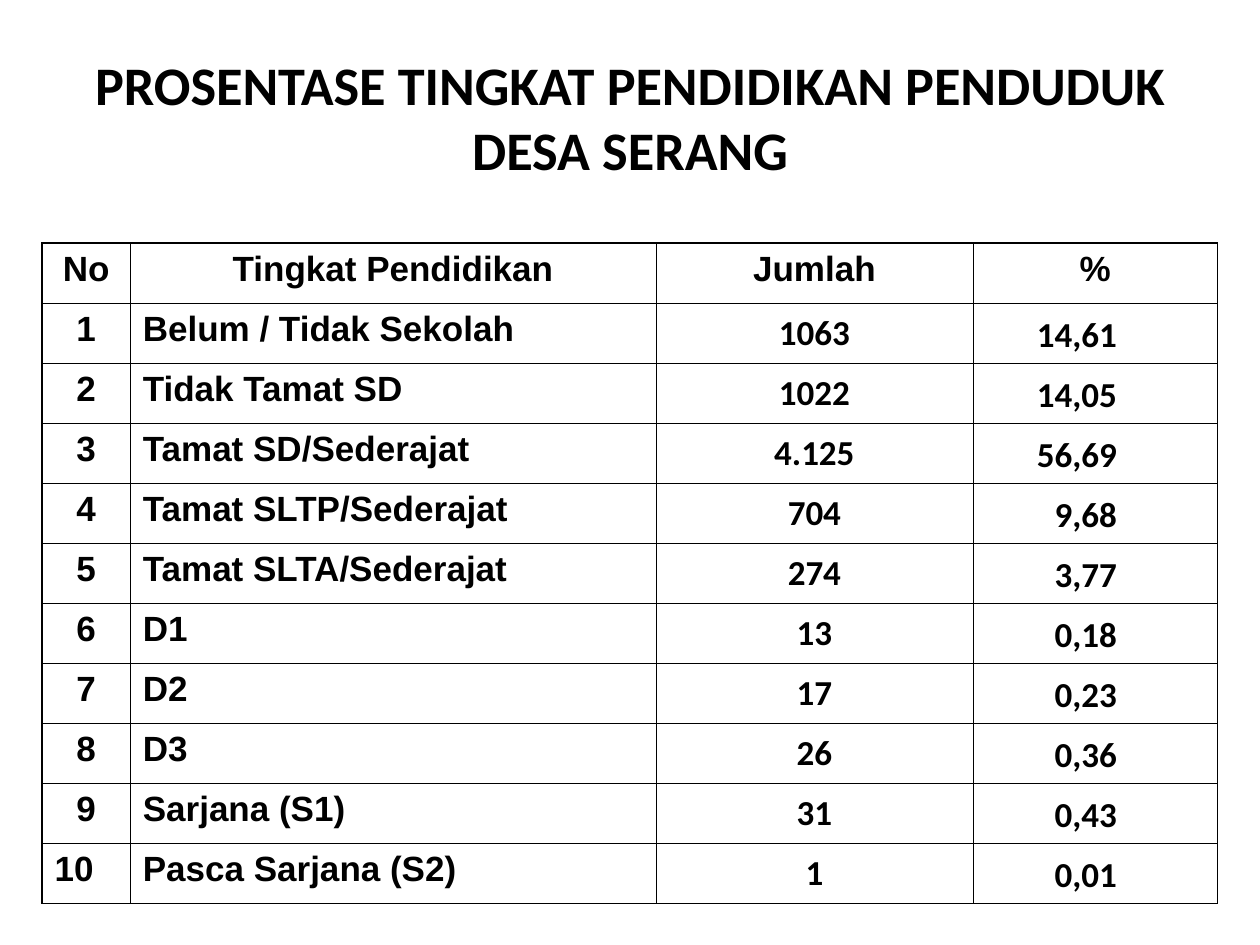
from dataclasses import dataclass

from lxml.etree import SubElement
from pptx import Presentation
from pptx.dml.color import RGBColor
from pptx.enum.text import MSO_ANCHOR as Anchor, PP_ALIGN as Align
from pptx.oxml.ns import qn
from pptx.slide import Slide
from pptx.table import _Cell as Cell
from pptx.text.text import TextFrame
from pptx.util import Pt

BLACK = "000000"
THIN, THICK = 0.45, 1.08
ROW_HEIGHT = 34.3


@dataclass(frozen=True)
class Column:
    heading: str
    width: float
    font: str
    align: Align
    anchor: Anchor
    margin_left: float
    margin_right: float


@dataclass(frozen=True)
class EducationLevel:
    name: str
    count: str
    percent: str


COLUMNS = [
    Column("No", 50.4, "Arial", Align.CENTER, Anchor.TOP, 7.2, 7.2),
    Column("Tingkat Pendidikan", 300.4, "Arial", Align.LEFT, Anchor.TOP, 7.2, 7.2),
    Column("Jumlah", 181.2, "Calibri", Align.CENTER, Anchor.MIDDLE, 0.7, 0.7),
    Column("%", 139.8, "Calibri", Align.RIGHT, Anchor.BOTTOM, 0.7, 57.5),
]

LEVELS = [
    EducationLevel("Belum / Tidak Sekolah", "1063", "14,61"),
    EducationLevel("Tidak Tamat SD", "1022", "14,05"),
    EducationLevel("Tamat SD/Sederajat", "4.125", "56,69"),
    EducationLevel("Tamat SLTP/Sederajat", "704", "9,68"),
    EducationLevel("Tamat SLTA/Sederajat", "274", "3,77"),
    EducationLevel("D1", "13", "0,18"),
    EducationLevel("D2", "17", "0,23"),
    EducationLevel("D3", "26", "0,36"),
    EducationLevel("Sarjana (S1)", "31", "0,43"),
    EducationLevel("Pasca Sarjana (S2)", "1", "0,01"),
]


def color(value: str) -> RGBColor:
    return RGBColor.from_string(value)


def set_values(target: object, values: dict) -> None:
    for name, value in values.items():
        setattr(target, name, value)


def write_text(frame: TextFrame, text: str, font: str, size: float, align: Align) -> None:
    paragraph = frame.paragraphs[0]
    paragraph.alignment = align
    run = paragraph.add_run()
    run.text = text
    set_values(run.font, {"name": font, "size": Pt(size), "bold": True})
    run.font.color.rgb = color(BLACK)


def set_borders(cell: Cell, widths: dict[str, float]) -> None:
    properties = cell._tc.get_or_add_tcPr()
    for side, width in widths.items():
        line = SubElement(properties, qn(f"a:ln{side}"), w=str(Pt(width)))
        fill = SubElement(line, qn("a:solidFill"))
        SubElement(fill, qn("a:srgbClr"), val=BLACK)


def draw_title(slide: Slide, text: str) -> None:
    box = slide.shapes.add_textbox(Pt(36), Pt(21.6), Pt(648), Pt(90))
    box.text_frame.word_wrap = True
    box.text_frame.vertical_anchor = Anchor.MIDDLE
    write_text(box.text_frame, text, "Calibri", 31, Align.CENTER)


def draw_cell(cell: Cell, text: str, column: Column, is_heading: bool) -> None:
    if is_heading:
        column = Column(text, column.width, "Arial", Align.CENTER, Anchor.TOP, 7.2, 7.2)
    align = Align.LEFT if text == "10" else column.align
    set_values(cell, {
        "vertical_anchor": column.anchor,
        "margin_left": Pt(column.margin_left),
        "margin_right": Pt(column.margin_right),
        "margin_top": Pt(3.6),
        "margin_bottom": Pt(3.6),
    })
    write_text(cell.text_frame, text, column.font, 20, align)


def draw_table(slide: Slide) -> None:
    rows = [[column.heading for column in COLUMNS]]
    rows += [[str(number), level.name, level.count, level.percent]
             for number, level in enumerate(LEVELS, 1)]
    last_row, last_column = len(rows) - 1, len(COLUMNS) - 1
    width = sum(column.width for column in COLUMNS)
    table = slide.shapes.add_table(len(rows), len(COLUMNS), Pt(24), Pt(139),
                                   Pt(width), Pt(ROW_HEIGHT * len(rows))).table
    set_values(table, {"first_row": False, "horz_banding": False})
    for table_column, column in zip(table.columns, COLUMNS):
        table_column.width = Pt(column.width)
    for row_index, texts in enumerate(rows):
        table.rows[row_index].height = Pt(ROW_HEIGHT)
        for column_index, text in enumerate(texts):
            cell = table.cell(row_index, column_index)
            draw_cell(cell, text, COLUMNS[column_index], row_index == 0)
            # Thick frame outside, thin lines inside
            set_borders(cell, {
                "L": THICK if column_index == 0 else THIN,
                "R": THICK if column_index == last_column else THIN,
                "T": THICK if row_index == 0 else THIN,
                "B": THICK if row_index == last_row else THIN,
            })
            cell.fill.background()


def main() -> None:
    presentation = Presentation()
    set_values(presentation, {"slide_width": Pt(720), "slide_height": Pt(540)})
    slide = presentation.slides.add_slide(presentation.slide_layouts[6])
    # Title
    draw_title(slide, "PROSENTASE TINGKAT PENDIDIKAN PENDUDUK DESA SERANG")
    # Education levels
    draw_table(slide)
    presentation.save("out.pptx")


if __name__ == "__main__":
    main()
